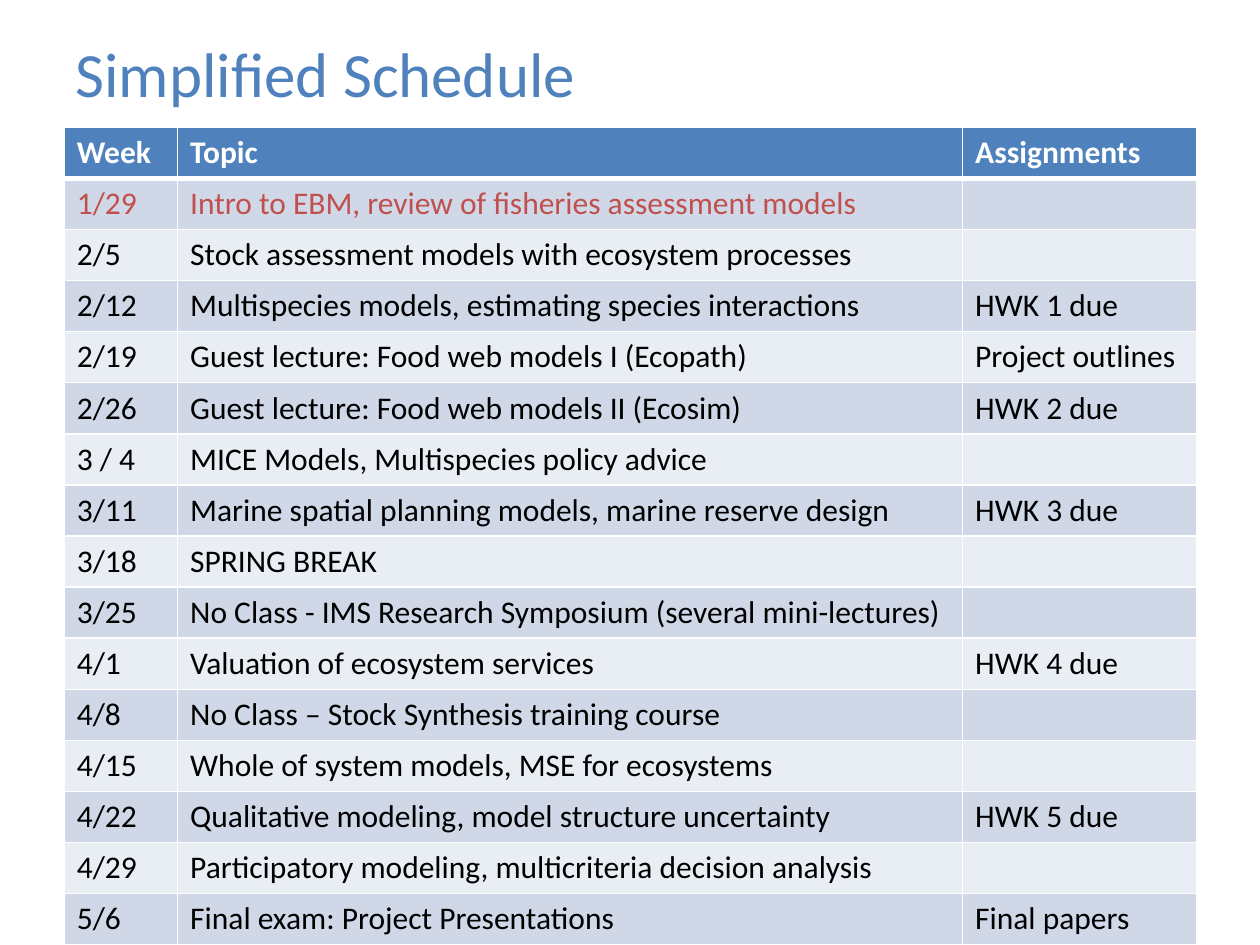
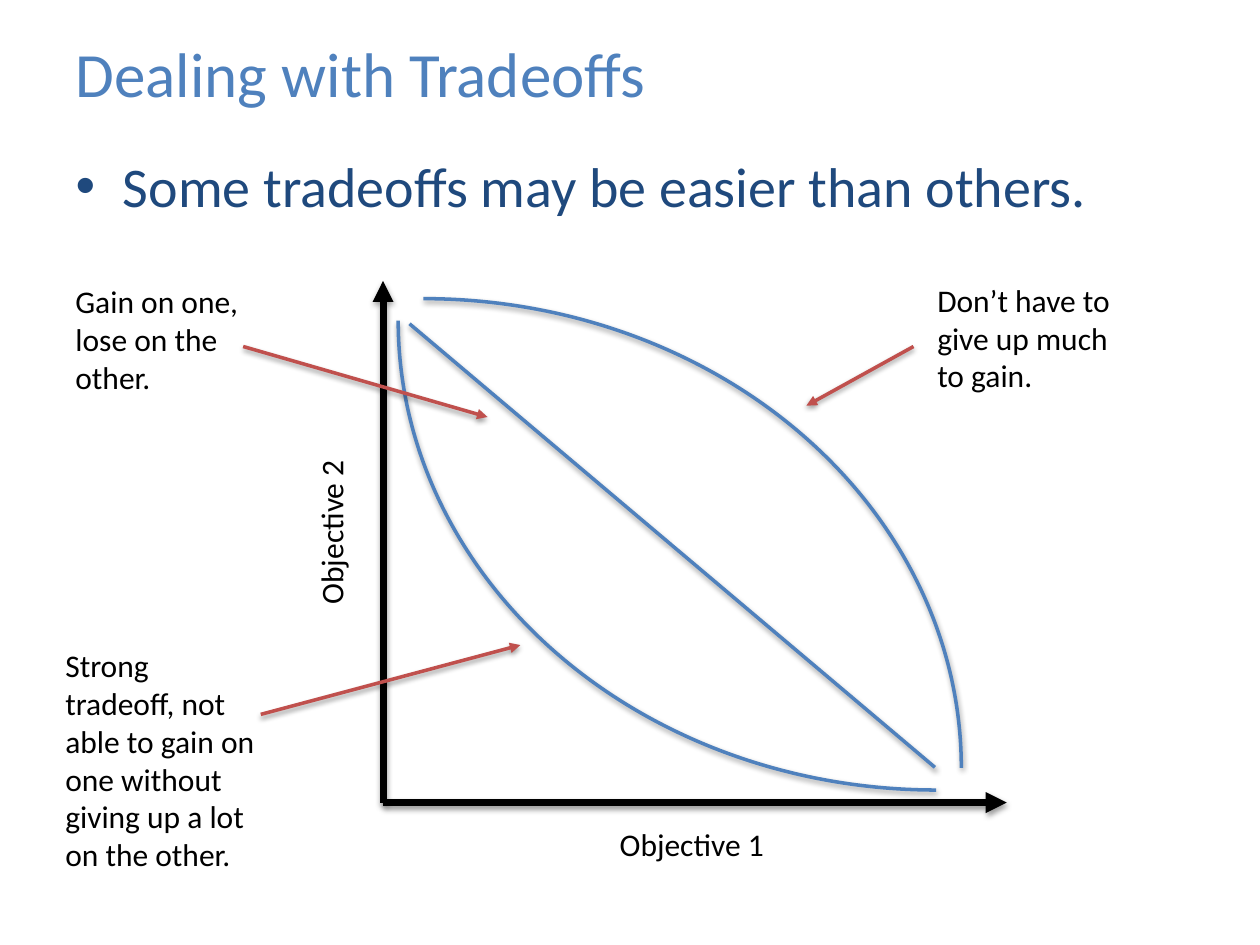
"""Build two course slides: the class schedule and a sketch of tradeoff curves."""
from dataclasses import dataclass
from typing import NamedTuple

from lxml import etree
from pptx import Presentation
from pptx.dml.color import RGBColor
from pptx.enum.shapes import MSO_CONNECTOR as Connector, MSO_SHAPE as Shape
from pptx.enum.text import MSO_ANCHOR as Anchor, MSO_AUTO_SIZE as AutoSize, PP_ALIGN as Align
from pptx.oxml import parse_xml
from pptx.oxml.ns import nsdecls, qn
from pptx.util import Inches, Pt


@dataclass(frozen=True)
class Theme:
    font: str = "Calibri"
    blue: str = "4F81BD"
    navy: str = "1F497D"
    red: str = "C0504D"
    black: str = "000000"
    white: str = "FFFFFF"
    bands: tuple[str, str] = ("D0D8E8", "E9EDF4")
    title_size: int = 36
    bullet_size: int = 32
    text_size: int = 18
    axis_width: int = 4
    curve_width: int = 2


class Week(NamedTuple):
    date: str
    topic: str
    assignment: str = ""


class Stroke(NamedTuple):
    start: tuple[float, float]
    end: tuple[float, float]
    color: str
    width: int
    arrow: bool = True


class Curve(NamedTuple):
    left: float
    top: float
    rotation: int


class Label(NamedTuple):
    text: str
    left: float
    top: float
    width: float
    height: float
    rotation: int = 0


THEME = Theme()
HEADER = Week("Week", "Topic", "Assignments")
CURRENT_DATE = "1/29"
SCHEDULE = [
    Week("1/29", "Intro to EBM, review of fisheries assessment models"),
    Week("2/5", "Stock assessment models with ecosystem processes"),
    Week("2/12", "Multispecies models, estimating species interactions", "HWK 1 due"),
    Week("2/19", "Guest lecture: Food web models I (Ecopath)", "Project outlines"),
    Week("2/26", "Guest lecture: Food web models II (Ecosim)", "HWK 2 due"),
    Week("3 / 4", "MICE Models, Multispecies policy advice"),
    Week("3/11", "Marine spatial planning models, marine reserve design", "HWK 3 due"),
    Week("3/18", "SPRING BREAK"),
    Week("3/25", "No Class - IMS Research Symposium (several mini-lectures)"),
    Week("4/1", "Valuation of ecosystem services", "HWK 4 due"),
    Week("4/8", "No Class – Stock Synthesis training course"),
    Week("4/15", "Whole of system models, MSE for ecosystems"),
    Week("4/22", "Qualitative modeling, model structure uncertainty", "HWK 5 due"),
    Week("4/29", "Participatory modeling, multicriteria decision analysis"),
    Week("5/6", "Final exam: Project Presentations", "Final papers"),
]
COLUMN_WIDTHS = (0.9, 6.23, 1.86)
ROW_HEIGHT = 0.4

ORIGIN = (3.04, 6.37)
AXES = [
    Stroke(ORIGIN, (7.99, 6.37), THEME.black, THEME.axis_width),
    Stroke(ORIGIN, (3.04, 2.23), THEME.black, THEME.axis_width),
]
CURVE_SIZE = (8.54, 7.45)
CURVES = [Curve(-0.91, 2.37, 0), Curve(3.16, -1.18, 180)]
EVEN_TRADEOFF = Stroke((3.25, 2.57), (7.42, 6.09), THEME.blue, THEME.curve_width, arrow=False)
POINTERS = [
    Stroke(start, end, THEME.red, THEME.curve_width)
    for start, end in (
        ((1.93, 2.75), (3.87, 3.31)),
        ((2.07, 5.67), (4.13, 5.12)),
        ((7.25, 2.75), (6.4, 3.22)),
    )
]
LABELS = [
    Label("Objective 1", 4.82, 6.5, 1.39, 0.4),
    Label("Objective 2", 1.93, 4, 1.39, 0.4, 270),
    Label("Gain on one, lose on the other.", 0.5, 2.19, 1.71, 1.01),
    Label("Don’t have to give up much to gain.", 7.34, 2.18, 1.71, 1.01),
    Label("Strong tradeoff, not able to gain on one without giving up a lot on the other.",
          0.42, 5.08, 1.71, 1.92),
]


def rgb(color: str) -> RGBColor:
    return RGBColor.from_string(color)


def style(paragraph, color: str, size: int = THEME.text_size, bold: bool = False) -> None:
    font = paragraph.font
    font.name, font.size, font.bold = THEME.font, Pt(size), bold
    font.color.rgb = rgb(color)


def place(shape, left: float, top: float, width: float, height: float) -> None:
    shape.left, shape.top = Inches(left), Inches(top)
    shape.width, shape.height = Inches(width), Inches(height)


def add_titled_slide(deck, layout_index: int, heading: str):
    slide = deck.slides.add_slide(deck.slide_layouts[layout_index])
    title = slide.shapes.title
    place(title, 0.5, 0.2, 9, 0.75)
    title.text_frame.text = heading
    title.text_frame.vertical_anchor = Anchor.MIDDLE
    paragraph = title.text_frame.paragraphs[0]
    paragraph.alignment = Align.LEFT
    style(paragraph, THEME.blue, THEME.title_size)
    return slide


def add_borders(cell, bottom: int) -> None:
    properties = cell._tc.get_or_add_tcPr()
    for side, width in (("L", 1), ("R", 1), ("T", 1), ("B", bottom)):
        properties.append(parse_xml(
            f'<a:ln{side} {nsdecls("a")} w="{Pt(width)}"><a:solidFill>'
            f'<a:srgbClr val="{THEME.white}"/></a:solidFill></a:ln{side}>'))


def fill_cell(cell, text: str, fill: str, color: str, header: bool) -> None:
    add_borders(cell, bottom=3 if header else 1)
    cell.fill.solid()
    cell.fill.fore_color.rgb = rgb(fill)
    cell.text = text
    style(cell.text_frame.paragraphs[0], color, bold=header)


def add_schedule(slide) -> None:
    weeks = [HEADER, *SCHEDULE]
    table = slide.shapes.add_table(
        len(weeks), len(COLUMN_WIDTHS), Inches(0.51), Inches(1.01),
        Inches(sum(COLUMN_WIDTHS)), Inches(ROW_HEIGHT * len(weeks))).table
    for column, width in zip(table.columns, COLUMN_WIDTHS):
        column.width = Inches(width)
    for index, (row, week) in enumerate(zip(table.rows, weeks)):
        row.height = Inches(ROW_HEIGHT)
        header = index == 0
        fill = THEME.blue if header else THEME.bands[(index - 1) % 2]
        color = THEME.white if header else THEME.black
        if week.date == CURRENT_DATE:
            color = THEME.red
        for cell, text in zip(row.cells, week):
            fill_cell(cell, text, fill, color, header)


def add_shadow(shape) -> None:
    shape._element.spPr.append(parse_xml(
        f'<a:effectLst {nsdecls("a")}>'
        f'<a:outerShdw blurRad="{Pt(3.1)}" dist="{Pt(1.6)}" dir="5400000" rotWithShape="0">'
        f'<a:srgbClr val="{THEME.black}"><a:alpha val="38000"/></a:srgbClr>'
        '</a:outerShdw></a:effectLst>'))


def draw_stroke(slide, stroke: Stroke) -> None:
    points = (Inches(length) for length in (*stroke.start, *stroke.end))
    connector = slide.shapes.add_connector(Connector.STRAIGHT, *points)
    connector.line.color.rgb = rgb(stroke.color)
    connector.line.width = Pt(stroke.width)
    if stroke.arrow:
        etree.SubElement(connector.line._get_or_add_ln(), qn("a:tailEnd"), type="triangle")
    add_shadow(connector)


def draw_curve(slide, curve: Curve) -> None:
    arc = slide.shapes.add_shape(
        Shape.ARC, *(Inches(length) for length in (curve.left, curve.top, *CURVE_SIZE)))
    arc.rotation = curve.rotation
    arc.fill.background()
    arc.line.color.rgb = rgb(THEME.blue)
    arc.line.width = Pt(THEME.curve_width)
    add_shadow(arc)


def draw_label(slide, label: Label) -> None:
    box = slide.shapes.add_textbox(
        *(Inches(length) for length in (label.left, label.top, label.width, label.height)))
    box.rotation = label.rotation
    frame = box.text_frame
    frame.word_wrap = True
    frame.auto_size = AutoSize.SHAPE_TO_FIT_TEXT
    frame.text = label.text
    style(frame.paragraphs[0], THEME.black)


def add_tradeoffs(slide) -> None:
    body = slide.placeholders[1]
    place(body, 0.5, 1.15, 9, 6.11)
    body.text_frame.text = "Some tradeoffs may be easier than others."
    point = body.text_frame.paragraphs[0]
    point.space_before = Pt(0)
    style(point, THEME.navy, THEME.bullet_size)
    for axis in AXES:
        draw_stroke(slide, axis)
    for curve in CURVES:
        draw_curve(slide, curve)
    for stroke in (EVEN_TRADEOFF, *POINTERS):
        draw_stroke(slide, stroke)
    for label in LABELS:
        draw_label(slide, label)


def main() -> None:
    deck = Presentation()
    deck.slide_width, deck.slide_height = Inches(10), Inches(7.5)
    add_schedule(add_titled_slide(deck, 5, "Simplified Schedule"))
    add_tradeoffs(add_titled_slide(deck, 1, "Dealing with Tradeoffs"))
    deck.save("out.pptx")


if __name__ == "__main__":
    main()
